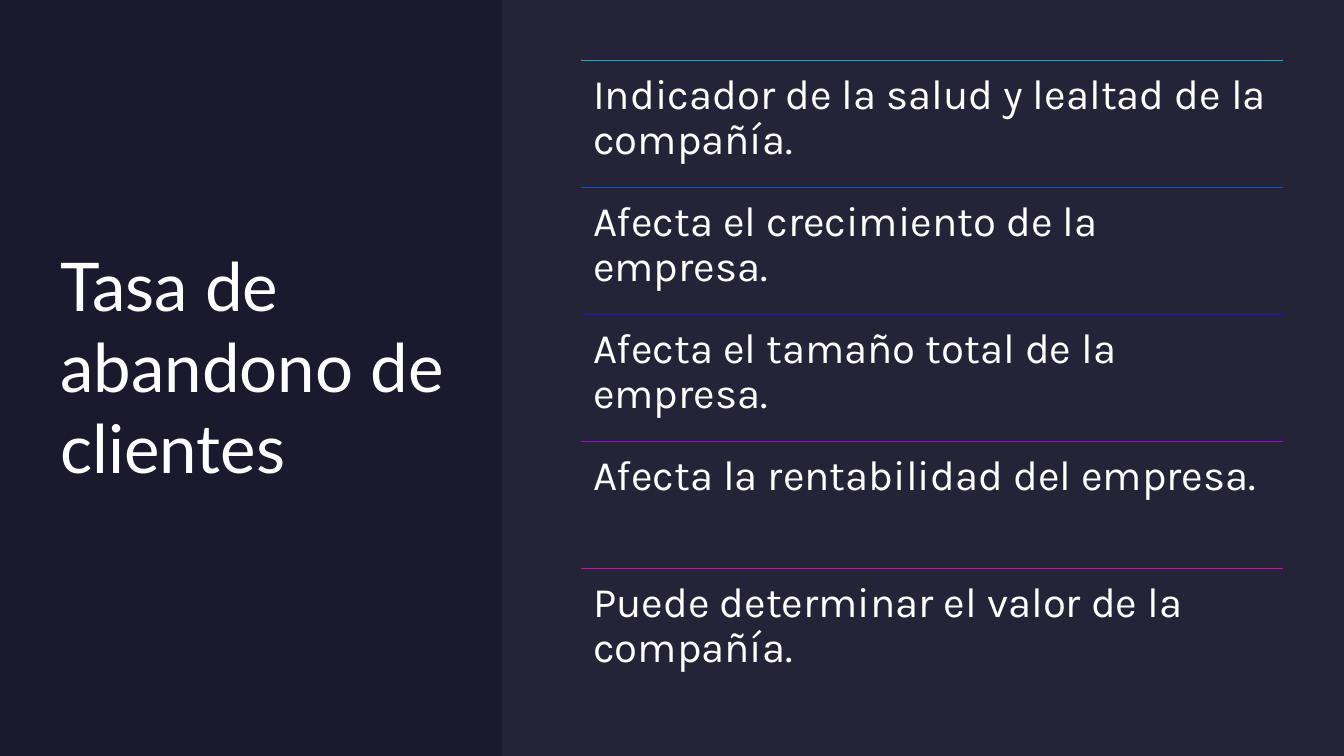
from dataclasses import dataclass

import pptx
import pptx.dml.color
import pptx.enum.shapes
import pptx.enum.text
import pptx.oxml.ns
import pptx.oxml.xmlchemy
import pptx.util
from pptx.util import Cm


@dataclass(frozen=True)
class Theme:
    background: str = "1B192E"
    panel: str = "E4E3F0"
    panel_opacity: int = 5
    text: str = "FFFFFF"
    title_font: str = "Lato"
    body_font: str = "Karla"
    title_size: int = 48
    body_size: int = 30
    rule_width: int = 1


THEME = Theme()
SLIDE_WIDTH, SLIDE_HEIGHT = Cm(33.87), Cm(19.05)
PANEL_LEFT = Cm(12.64)
LIST_LEFT, LIST_TOP, LIST_WIDTH = Cm(14.63), Cm(1.52), Cm(17.7)
ROW_HEIGHT = Cm(3.2)

EFFECTS = [
    ("Indicador de la salud y lealtad de la compañía.", "12B1BF"),
    ("Afecta el crecimiento de la empresa.", "1055C4"),
    ("Afecta el tamaño total de la empresa.", "2A0EC9"),
    ("Afecta la rentabilidad del empresa.", "910CCF"),
    ("Puede determinar el valor de la compañía.", "D40AA8"),
]


def rgb(value):
    return pptx.dml.color.RGBColor.from_string(value)


def write_text(frame, text, font_name, size, inset, anchor):
    frame.word_wrap = True
    frame.auto_size = pptx.enum.text.MSO_AUTO_SIZE.NONE
    frame.vertical_anchor = anchor
    frame.margin_left = frame.margin_right = inset
    frame.margin_top = frame.margin_bottom = inset
    frame.text = text
    paragraph = frame.paragraphs[0]
    paragraph.alignment = pptx.enum.text.PP_ALIGN.LEFT
    paragraph.space_before = pptx.util.Pt(0)
    paragraph.font.name = font_name
    paragraph.font.size = pptx.util.Pt(size)
    paragraph.font.color.rgb = rgb(THEME.text)
    return paragraph


def place_title(slide, text):
    title = slide.shapes.title
    title.left, title.top = Cm(1.52), Cm(1.52)
    title.width, title.height = Cm(9.91), Cm(15.39)
    heading = write_text(title.text_frame, text, THEME.title_font, THEME.title_size,
                         Cm(0), pptx.enum.text.MSO_ANCHOR.MIDDLE)
    heading.line_spacing = 1.0
    heading.space_after = pptx.util.Pt(6)


def add_panel(slide):
    panel = slide.shapes.add_shape(pptx.enum.shapes.MSO_SHAPE.RECTANGLE, PANEL_LEFT, 0,
                                   SLIDE_WIDTH - PANEL_LEFT, SLIDE_HEIGHT)
    panel.shadow.inherit = False
    panel.line.fill.background()
    panel.fill.solid()
    panel.fill.fore_color.rgb = rgb(THEME.panel)
    # Opacity of the fill, in thousandths of a percent
    color = panel._element.spPr.find(".//" + pptx.oxml.ns.qn("a:srgbClr"))
    alpha = pptx.oxml.xmlchemy.OxmlElement("a:alpha")
    alpha.set("val", str(THEME.panel_opacity * 1000))
    color.append(alpha)


def add_rule(slide, top, color):
    rule = slide.shapes.add_connector(pptx.enum.shapes.MSO_CONNECTOR.STRAIGHT,
                                      LIST_LEFT, top, LIST_LEFT + LIST_WIDTH, top)
    rule.line.color.rgb = rgb(color)
    rule.line.width = pptx.util.Pt(THEME.rule_width)
    rule._element.spPr.append(pptx.oxml.xmlchemy.OxmlElement("a:effectLst"))


def add_effect(slide, top, text):
    effect = slide.shapes.add_textbox(LIST_LEFT, top, LIST_WIDTH, ROW_HEIGHT)
    statement = write_text(effect.text_frame, text, THEME.body_font, THEME.body_size,
                           Cm(0.32), pptx.enum.text.MSO_ANCHOR.TOP)
    statement.line_spacing = 0.9


def main():
    deck = pptx.Presentation()
    deck.slide_width, deck.slide_height = SLIDE_WIDTH, SLIDE_HEIGHT
    slide = deck.slides.add_slide(deck.slide_layouts.get_by_name("Title Only"))
    slide.background.fill.solid()
    slide.background.fill.fore_color.rgb = rgb(THEME.background)

    # Left side: title; right side: lighter panel
    place_title(slide, "Tasa de abandono de clientes")
    add_panel(slide)

    # List of effects, each under its coloured rule
    for row, (text, color) in enumerate(EFFECTS):
        top = LIST_TOP + row * ROW_HEIGHT
        add_rule(slide, top, color)
        add_effect(slide, top, text)

    deck.save("out.pptx")


if __name__ == "__main__":
    main()
